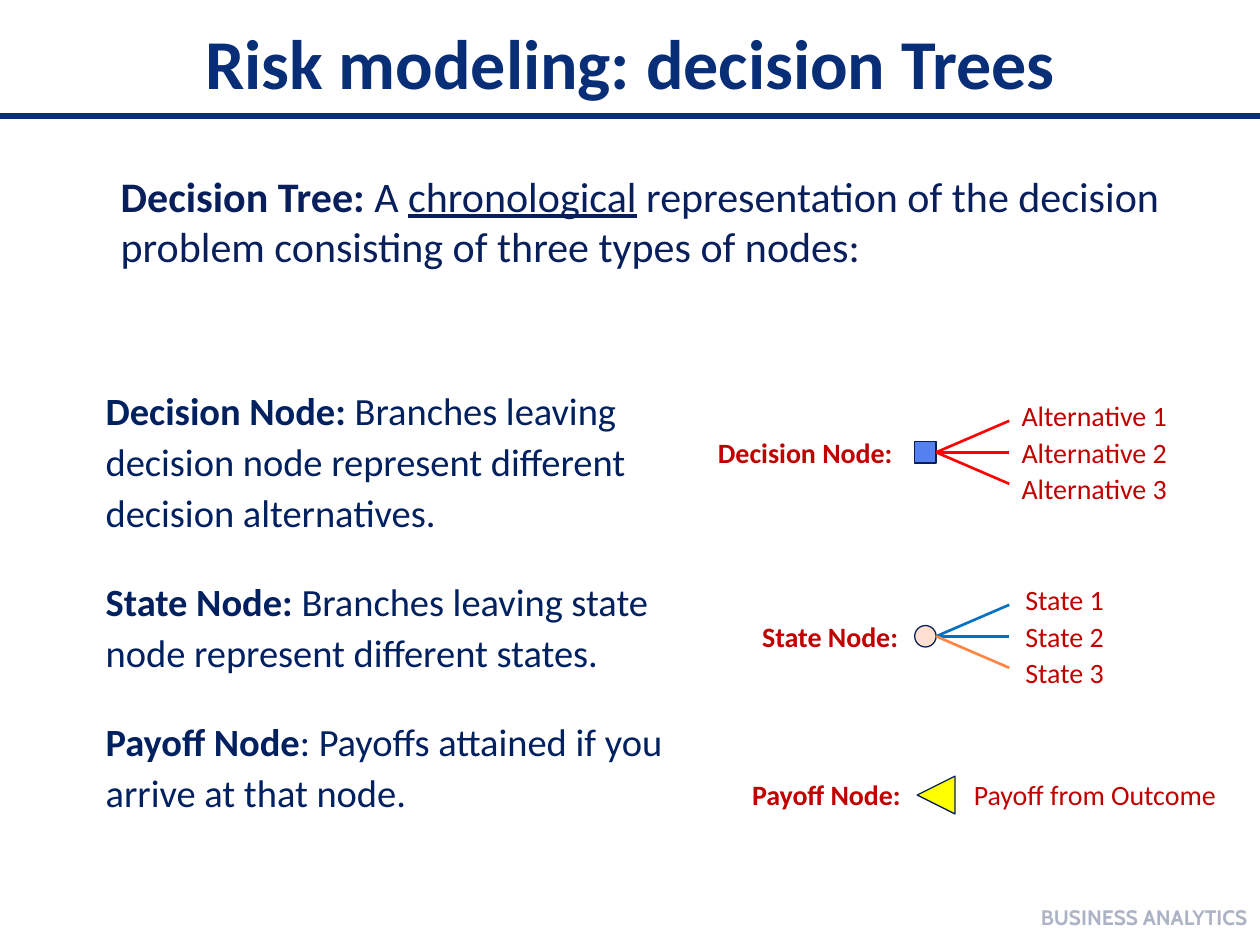
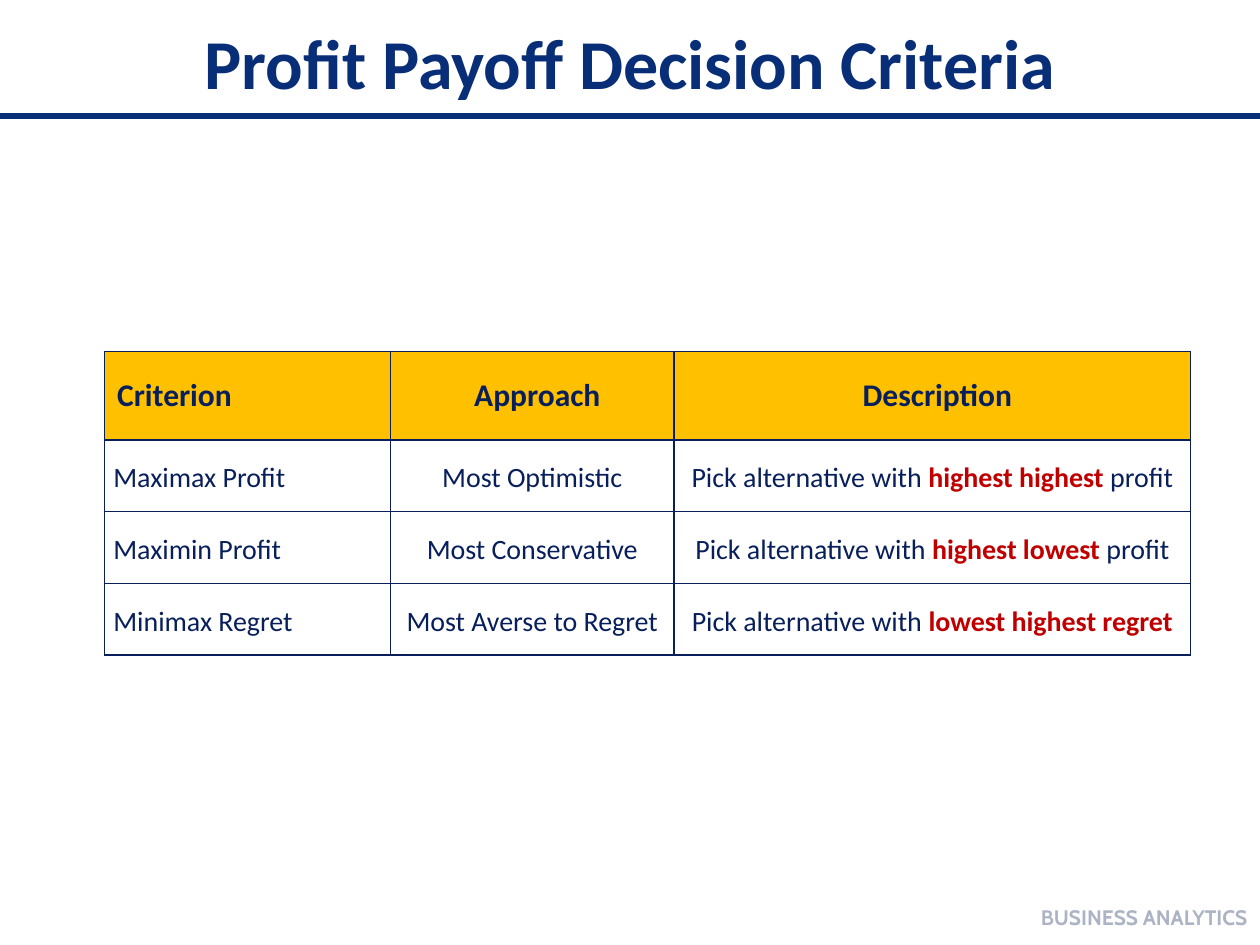
"""Builds two slides on decision trees and profit payoff criteria."""
from dataclasses import dataclass
from lxml.etree import SubElement
from pptx import Presentation
from pptx.dml.color import RGBColor
from pptx.enum.shapes import MSO_CONNECTOR, MSO_SHAPE
from pptx.enum.text import MSO_ANCHOR, MSO_AUTO_SIZE, PP_ALIGN
from pptx.oxml.ns import qn
from pptx.util import Inches, Pt

FOOTER = "BUSINESS ANALYTICS"
TREE_TITLE = "Risk modeling: decision Trees"
CRITERIA_TITLE = "Profit Payoff Decision Criteria"

DEFINITION = [[("Decision Tree:", "b"), (" A ", ""), ("chronological", "u"),
               (" representation of the decision problem consisting of three types of nodes:", "")]]
NODE_TYPES = [
    [("Decision Node: ", "b"),
     ("Branches leaving decision node represent different decision alternatives.", "")],
    [("State Node: ", "b"), ("Branches leaving state node represent different states.", "")],
    [("Payoff Node", "b"), (": Payoffs attained if you arrive at that node.", "")],
]

RED, BLUE, ORANGE = "FF0000", "0070C0", "FF8542"
TREES = [
    dict(caption="Decision Node:", caption_at=(5.6, 1.6), y=3.59, shape=MSO_SHAPE.RECTANGLE,
         fill="5480F0", size=0.17, turn=0, label_at=(8.01, 1.4),
         branches=[("Alternative 1", RED), ("Alternative 2", RED), ("Alternative 3", RED)]),
    dict(caption="State Node:", caption_at=(5.95, 1.32), y=5.05, shape=MSO_SHAPE.OVAL,
         fill="FFDFCE", size=0.17, turn=0, label_at=(8.04, 0.84),
         branches=[("State 1", BLUE), ("State 2", BLUE), ("State 3", ORANGE)]),
    dict(caption="Payoff Node:", caption_at=(5.87, 1.41), y=6.31,
         shape=MSO_SHAPE.ISOSCELES_TRIANGLE, fill="FFFF00", size=0.3, turn=270,
         label_at=(7.63, 2.15), branches=[("Payoff from Outcome", None)]),
]
NODE_X = {0.17: 7.26, 0.3: 7.28}
BRANCH_END, BRANCH_STEP, LABEL_STEP, LABEL_H = 8.01, 0.25, 0.29, 0.37

PICK = ("Pick alternative with ", "")
CRITERIA = [
    ["Criterion", "Approach", "Description"],
    ["Maximax Profit", "Most Optimistic", [PICK, ("highest highest ", "hot"), ("profit", "")]],
    ["Maximin Profit", "Most Conservative", [PICK, ("highest lowest ", "hot"), ("profit", "")]],
    ["Minimax Regret", "Most Averse to Regret", [PICK, ("lowest highest regret", "hot")]],
]
COLS, ROWS = [2.27, 2.25, 4.1], [0.7] + [0.57] * 3


@dataclass(frozen=True)
class Theme:
    """Colours, fonts and type sizes of the deck."""
    title: str = "092E78"
    ink: str = "081F5B"
    body: str = "002060"
    hot: str = "C00000"
    header: str = "FFC000"
    footer: str = "06194C"
    face: str = "Calibri"
    footer_face: str = "Cabin"
    title_pt: int = 40
    lead_pt: int = 24
    body_pt: int = 22
    head_pt: int = 18
    label_pt: int = 16
    footer_pt: int = 12


T = Theme()


def rgb(code):
    """Turn a hex code into a colour."""
    return RGBColor.from_string(code)


def write(p, runs, size, color, bold=None, face=T.face, align=None):
    """Fill a paragraph with (text, style) runs and set its font."""
    p.alignment = align
    f = p.font
    f.size, f.name, f.bold = Pt(size), face, bold
    f.color.rgb = rgb(color)
    for text, style in [(runs, "")] if isinstance(runs, str) else runs:
        r = p.add_run()
        r.text = text
        if style in ("b", "hot"):
            r.font.bold = True
        if style == "u":
            r.font.underline = True
        if style == "hot":
            r.font.color.rgb = rgb(T.hot)


def add_text(s, at, paragraphs, size, color, wrap=True, anchor=MSO_ANCHOR.TOP,
             gap=0, spacing=None, **font):
    """Add a text box holding the given paragraphs."""
    tf = s.shapes.add_textbox(*map(Inches, at)).text_frame
    tf.word_wrap, tf.vertical_anchor = wrap, anchor
    for i, runs in enumerate(paragraphs):
        p = tf.add_paragraph() if i else tf.paragraphs[0]
        if i and gap:
            p.space_before = Pt(gap)
        if spacing:
            p.line_spacing = spacing
        write(p, runs, size, color, **font)
    return tf


def add_line(s, start, end, color, width):
    """Add a straight connector without a shadow."""
    c = s.shapes.add_connector(MSO_CONNECTOR.STRAIGHT, *map(Inches, start + end))
    c.line.color.rgb, c.line.width = rgb(color), Pt(width)
    SubElement(c._element.spPr, qn("a:effectLst"))
    return c


def add_slide(prs, title):
    """Add a slide with the shared rule, footer and title."""
    s = prs.slides.add_slide(prs.slide_layouts[5])
    add_line(s, (0, 0.92), (10, 0.92), T.title, 3)
    tf = add_text(s, (6.67, 7.08, 3.33, 0.4), [FOOTER], T.footer_pt, T.footer,
                  anchor=MSO_ANCHOR.MIDDLE, bold=True, face=T.footer_face, align=PP_ALIGN.RIGHT)
    for clr in tf.paragraphs[0]._p.iter(qn("a:srgbClr")):
        SubElement(clr, qn("a:alpha"), val="33000")
    sp = s.shapes.title
    sp.left, sp.top, sp.width, sp.height = map(Inches, (0.69, -0.24, 8.62, 1.45))
    tf = sp.text_frame
    tf.vertical_anchor, tf.auto_size = MSO_ANCHOR.MIDDLE, MSO_AUTO_SIZE.NONE
    write(tf.paragraphs[0], title, T.title_pt, T.title, bold=True, align=PP_ALIGN.CENTER)
    return s


def add_label(s, at, y, text, bold=None):
    """Add a one-line label centred on height y."""
    x, w = at
    add_text(s, (x, y - LABEL_H / 2, w, LABEL_H), [text], T.label_pt, T.hot, wrap=False, bold=bold)


def add_tree(s, tree):
    """Draw a node with its caption, branches and branch labels."""
    y, size = tree["y"], tree["size"]
    x = NODE_X[size]
    node = s.shapes.add_shape(tree["shape"], *map(Inches, (x, y - size / 2, size, size)))
    node.rotation, node.shadow.inherit = tree["turn"], False
    node.fill.solid()
    node.fill.fore_color.rgb = rgb(tree["fill"])
    node.line.color.rgb, node.line.width = rgb(T.ink), Pt(0.75)
    add_label(s, tree["caption_at"], y, tree["caption"], bold=True)
    middle = (len(tree["branches"]) - 1) / 2
    for i, (label, color) in enumerate(tree["branches"]):
        step = i - middle
        add_label(s, tree["label_at"], y + step * LABEL_STEP, label)
        if color:
            c = add_line(s, (x + size, y), (BRANCH_END, y + step * BRANCH_STEP), color, 1.5)
            if tree["shape"] == MSO_SHAPE.RECTANGLE:
                c.begin_connect(node, 3)


def add_borders(cell):
    """Rule all four sides of a cell, ahead of its fill."""
    tc_pr = cell._tc.get_or_add_tcPr()
    for i, side in enumerate(("lnL", "lnR", "lnT", "lnB")):
        ln = SubElement(tc_pr, qn("a:" + side), w=str(Pt(1)))
        SubElement(SubElement(ln, qn("a:solidFill")), qn("a:srgbClr"), val=T.ink)
        tc_pr.insert(i, ln)


def add_criteria(s):
    """Add the table of decision criteria."""
    frame = s.shapes.add_table(len(ROWS), len(COLS),
                               *map(Inches, (0.83, 2.79, sum(COLS), sum(ROWS))))
    table = frame.table
    table.first_row = table.horz_banding = False
    for col, w in zip(table.columns, COLS):
        col.width = Inches(w)
    for i, (row, h) in enumerate(zip(CRITERIA, ROWS)):
        table.rows[i].height = Inches(h)
        head = i == 0
        left, top, right, bottom = (0.1, 0.05, 0.02, 0.05) if head else (0.07, 0, 0.07, 0)
        for j, content in enumerate(row):
            cell = table.cell(i, j)
            cell.vertical_anchor = MSO_ANCHOR.MIDDLE
            cell.margin_left, cell.margin_right = Inches(left), Inches(right)
            cell.margin_top, cell.margin_bottom = Inches(top), Inches(bottom)
            if head:
                cell.fill.solid()
                cell.fill.fore_color.rgb = rgb(T.header)
            else:
                cell.fill.background()
            add_borders(cell)
            p = cell.text_frame.paragraphs[0]
            if not head:
                p.line_spacing = 1.15
            write(p, content, T.head_pt if head else T.label_pt, T.ink, bold=head,
                  align=PP_ALIGN.CENTER if j else PP_ALIGN.LEFT)


def main():
    """Build and save the deck."""
    prs = Presentation()
    prs.slide_width, prs.slide_height = Inches(10), Inches(7.5)

    s = add_slide(prs, TREE_TITLE)
    tf = add_text(s, (0.74, 2.81, 5.12, 3.94), NODE_TYPES, T.body_pt, T.body,
                  anchor=MSO_ANCHOR.MIDDLE, gap=22, spacing=1.1)
    tf.margin_top = 0
    for tree in TREES:
        add_tree(s, tree)
    add_text(s, (0.86, 1.3, 8.47, 0.91), DEFINITION, T.lead_pt, T.ink)

    add_criteria(add_slide(prs, CRITERIA_TITLE))
    prs.save("out.pptx")


if __name__ == "__main__":
    main()
